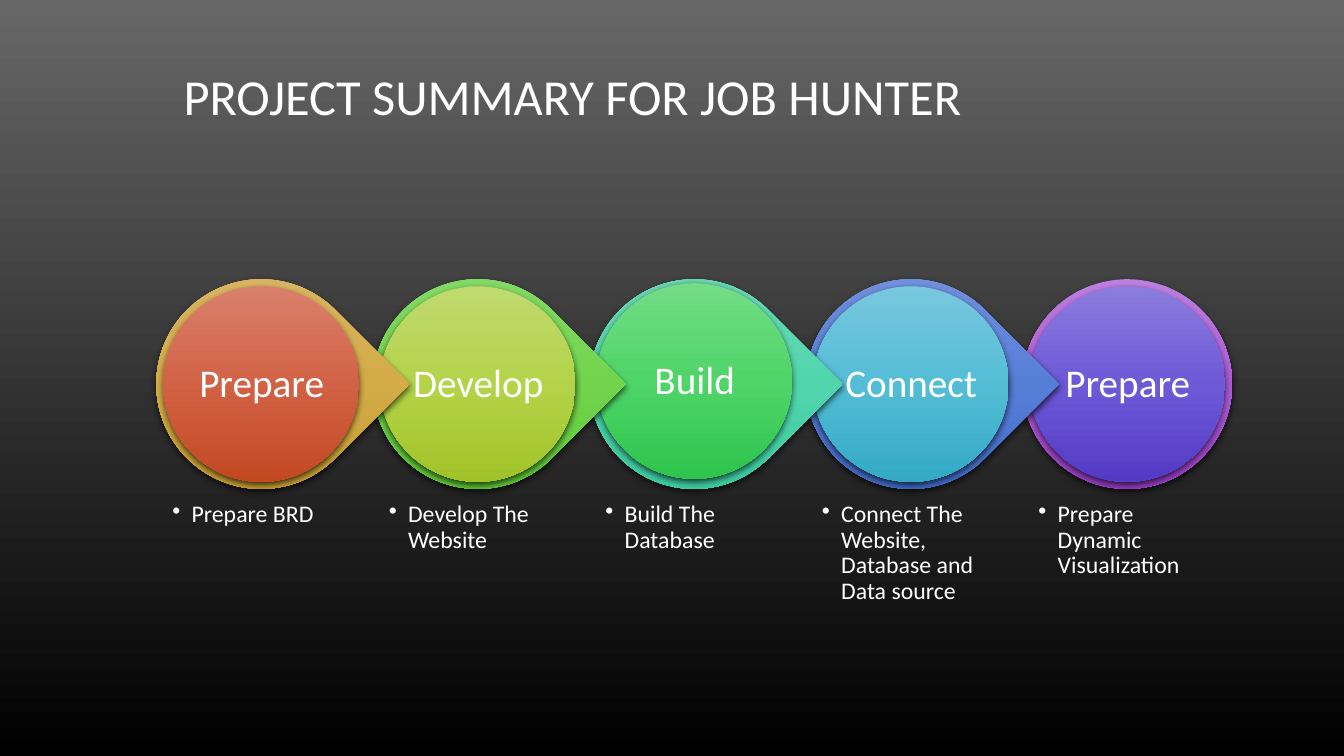
from dataclasses import dataclass

from lxml import etree
from pptx import Presentation
from pptx.dml.color import RGBColor
from pptx.dml.fill import FillFormat
from pptx.enum.shapes import MSO_SHAPE
from pptx.enum.text import MSO_ANCHOR, PP_ALIGN
from pptx.oxml.ns import qn
from pptx.oxml.xmlchemy import BaseOxmlElement
from pptx.slide import Slide
from pptx.util import Inches, Pt

ELLIPSE, TEARDROP = MSO_SHAPE.OVAL, MSO_SHAPE.TEAR
TOP, MIDDLE = MSO_ANCHOR.TOP, MSO_ANCHOR.MIDDLE
LEFT, CENTER = PP_ALIGN.LEFT, PP_ALIGN.CENTER

FIRST_LEFT, LAST_LEFT = 1.55, 10.14
RING_TOP, RING_SIZE = 2.77, 2.08
RIM, DISC_SIZE = 0.07, 1.94
LABEL_INSET, LABEL_SIZE = 0.35, 1.39
DETAIL_TOP, DETAIL_HEIGHT = 4.89, 1.14
HANGING = 0.19


@dataclass(frozen=True)
class Step:
    label: str
    detail: str
    ring: tuple[str, ...]
    disc: tuple[str, ...]
    ring_shape: MSO_SHAPE = TEARDROP
    lift: float = 0.0


@dataclass(frozen=True)
class TextStyle:
    size: float
    align: PP_ALIGN
    anchor: MSO_ANCHOR
    margin_x: float
    margin_y: float
    bullet: bool = False


TITLE = TextStyle(36, CENTER, MIDDLE, 0.1, 0.05)
LABEL = TextStyle(28, CENTER, MIDDLE, 0.04, 0.04)
DETAIL = TextStyle(17, LEFT, TOP, 0.09, 0.09, bullet=True)

STEPS = [
    Step("Prepare", "Prepare BRD",
         ("DAB86D", "D3AB47", "C39825"), ("D9806C", "D26245", "C34822")),
    Step("Develop", "Develop The Website",
         ("8BDB71", "71D44C", "57C42B"), ("C0DA6F", "B4D349", "A1C328")),
    Step("Build", "Build The Database",
         ("76DCBA", "51D5AC", "31C498"), ("73DC85", "4FD568", "2EC44D"), lift=0.03),
    Step("Connect", "Connect The Website, Database and Data source",
         ("7A97DE", "577ED7", "3765C5"), ("78C8DD", "54BDD6", "34AAC5")),
    Step("Prepare", "Prepare Dynamic Visualization",
         ("BC7FDF", "AD5CD8", "983DC6"), ("8B7CDE", "6E59D7", "523AC5"),
         ring_shape=ELLIPSE),
]


def rgb(color: str) -> RGBColor:
    return RGBColor.from_string(color)


def set_gradient(fill: FillFormat, holder: BaseOxmlElement, colors: tuple[str, ...]) -> None:
    """Fill from top to bottom with evenly spaced colours, whatever the rotation."""
    fill.gradient()
    fill.gradient_angle = 270
    grad = holder.find(".//" + qn("a:gradFill"))
    grad.set("rotWithShape", "0")
    stops = grad.find(qn("a:gsLst"))
    stops.clear()
    for i, color in enumerate(colors):
        gs = etree.SubElement(stops, qn("a:gs"), pos=str(100000 * i // (len(colors) - 1)))
        etree.SubElement(gs, qn("a:srgbClr"), val=color)


def add_shadow(sp_pr: BaseOxmlElement) -> None:
    effects = sp_pr.find(qn("a:effectLst"))
    shadow = etree.SubElement(effects, qn("a:outerShdw"), blurRad=str(Pt(5)),
                              dist=str(Pt(2)), dir="5400000", rotWithShape="0")
    color = etree.SubElement(shadow, qn("a:srgbClr"), val="000000")
    etree.SubElement(color, qn("a:alpha"), val="69000")


def add_round(s: Slide, kind: MSO_SHAPE, left: float, top: float, size: float,
              colors: tuple[str, ...]) -> None:
    sp = s.shapes.add_shape(kind, Inches(left), Inches(top), Inches(size), Inches(size))
    sp.rotation = 45 if kind == TEARDROP else 0
    sp.line.fill.background()
    set_gradient(sp.fill, sp._element.spPr, colors)
    sp.shadow.inherit = False
    add_shadow(sp._element.spPr)


def add_text(s: Slide, text: str, left: float, top: float, width: float, height: float,
             style: TextStyle) -> None:
    sp = s.shapes.add_textbox(Inches(left), Inches(top), Inches(width), Inches(height))
    tf = sp.text_frame
    frame_format = {
        "word_wrap": True, "vertical_anchor": style.anchor,
        "margin_left": Inches(style.margin_x), "margin_right": Inches(style.margin_x),
        "margin_top": Inches(style.margin_y), "margin_bottom": Inches(style.margin_y),
    }
    for name, value in frame_format.items():
        setattr(tf, name, value)
    p = tf.paragraphs[0]
    p.alignment, p.line_spacing = style.align, 0.9
    if style.bullet:
        p.level = 1
        p_pr = p._p.get_or_add_pPr()
        p_pr.set("marL", str(Inches(HANGING)))
        p_pr.set("indent", str(-Inches(HANGING)))
        etree.SubElement(p_pr, qn("a:buChar"), char="•")
    r = p.add_run()
    r.text = text
    for name, value in {"name": "Calibri", "size": Pt(style.size)}.items():
        setattr(r.font, name, value)
    r.font.color.rgb = rgb("FFFFFF")


def add_step(s: Slide, step: Step, left: float) -> None:
    disc_left, disc_top = left + RIM, RING_TOP + RIM - step.lift
    add_round(s, step.ring_shape, left, RING_TOP, RING_SIZE, step.ring)
    add_round(s, ELLIPSE, disc_left, disc_top, DISC_SIZE, step.disc)
    add_text(s, step.label, left + LABEL_INSET, RING_TOP + LABEL_INSET - step.lift,
             LABEL_SIZE, LABEL_SIZE, LABEL)
    add_text(s, step.detail, disc_left, DETAIL_TOP, DISC_SIZE, DETAIL_HEIGHT, DETAIL)


def main() -> None:
    prs = Presentation()
    prs.slide_width, prs.slide_height = Inches(13.33), Inches(7.5)
    s = prs.slides.add_slide(prs.slide_layouts[6])
    set_gradient(s.background.fill, s._element, ("676767", "000000"))

    pitch = (LAST_LEFT - FIRST_LEFT) / (len(STEPS) - 1)
    # Each teardrop's tip overlaps the next step, so the last step goes to the back.
    for i, step in reversed(list(enumerate(STEPS))):
        add_step(s, step, FIRST_LEFT + i * pitch)
    add_text(s, "PROJECT SUMMARY FOR JOB HUNTER", 1.55, 0.45, 8.26, 1.07, TITLE)
    prs.save("out.pptx")


if __name__ == "__main__":
    main()
